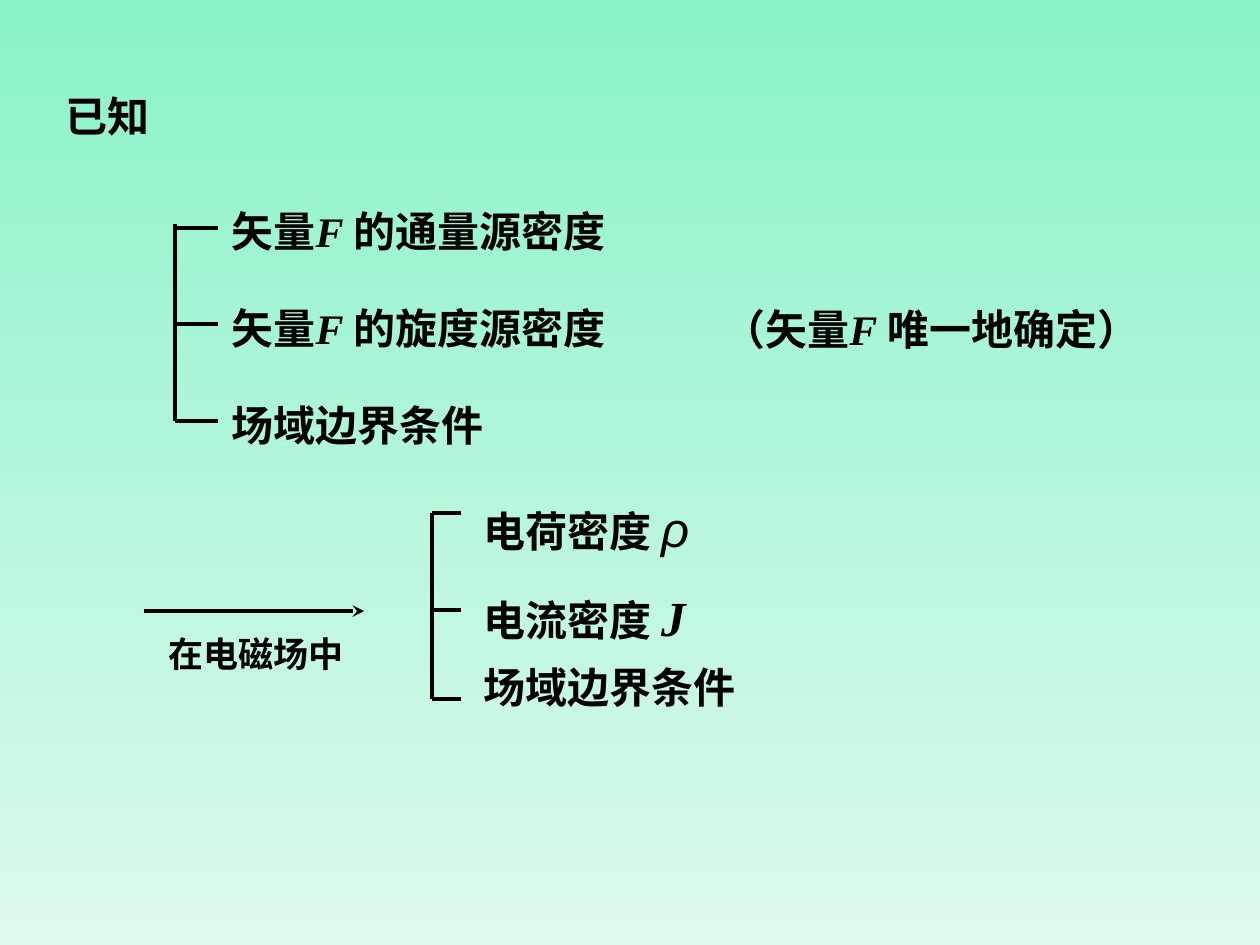
from dataclasses import dataclass

import pptx
import pptx.dml.color
import pptx.enum.dml
import pptx.enum.shapes
import pptx.enum.text
import pptx.oxml
import pptx.oxml.ns
import pptx.util
from pptx.util import Inches

CHINESE = "Noto Sans CJK SC"
ROMAN = "Times New Roman"
BLACK = "000000"


@dataclass
class Span:
    text: str
    size: int = 24
    font: str = CHINESE
    bold: bool = True
    italic: bool = False


@dataclass
class Line:
    spans: list[Span]
    spacing: float = 1.0
    before: float = 0


@dataclass
class TextBlock:
    left: float
    top: float
    width: float
    height: float
    lines: list[Line]
    wrap: bool = True
    align: pptx.enum.text.PP_ALIGN = pptx.enum.text.PP_ALIGN.LEFT


@dataclass
class Bracket:
    left: float
    top: float
    bottom: float
    rungs: list[float]
    rung_length: float


def color(value: str) -> pptx.dml.color.RGBColor:
    return pptx.dml.color.RGBColor.from_string(value)


def add_child(parent, tag: str, **attributes: str) -> None:
    child = pptx.oxml.parse_xml(f"<{tag} {pptx.oxml.ns.nsdecls('a')}/>")
    for name, value in attributes.items():
        child.set(name, value)
    parent.append(child)


def add_span(para, span: Span) -> None:
    run = para.add_run()
    run.text = span.text
    run.font.size = pptx.util.Pt(span.size)
    run.font.bold = span.bold
    run.font.italic = span.italic
    run.font.color.rgb = color(BLACK)
    run.font.name = span.font
    # East Asian characters take their font from a:ea, not a:latin
    add_child(run.font._element, "a:ea", typeface=span.font)


def fill_text(box, block: TextBlock) -> None:
    box.left, box.top = Inches(block.left), Inches(block.top)
    box.width, box.height = Inches(block.width), Inches(block.height)
    frame = box.text_frame
    frame.word_wrap = block.wrap
    frame.auto_size = pptx.enum.text.MSO_AUTO_SIZE.NONE
    frame.vertical_anchor = pptx.enum.text.MSO_ANCHOR.TOP
    for index, line in enumerate(block.lines):
        para = frame.add_paragraph() if index else frame.paragraphs[0]
        para.alignment = block.align
        para.line_spacing = line.spacing
        para.space_before = pptx.util.Pt(line.before)
        for span in line.spans:
            add_span(para, span)


def add_text(page, block: TextBlock) -> None:
    fill_text(page.shapes.add_textbox(0, 0, 0, 0), block)


def add_line(page, x1: float, y1: float, x2: float, y2: float, arrow: bool = False) -> None:
    line = page.shapes.add_connector(
        pptx.enum.shapes.MSO_CONNECTOR.STRAIGHT,
        Inches(x1), Inches(y1), Inches(x2), Inches(y2),
    )
    line.line.color.rgb = color(BLACK)
    line.line.width = pptx.util.Pt(2.25)
    if arrow:
        add_child(line.line._get_or_add_ln(), "a:tailEnd", type="stealth")
    add_child(line._element.spPr, "a:effectLst")


def add_bracket(page, bracket: Bracket) -> None:
    add_line(page, bracket.left, bracket.top, bracket.left, bracket.bottom)
    for y in bracket.rungs:
        add_line(page, bracket.left, y, bracket.left + bracket.rung_length, y)


def vector_spans(before: str, after: str) -> list[Span]:
    return [Span(before), Span("F ", font=ROMAN, italic=True), Span(after)]


def set_background(page) -> None:
    fill = page.background.fill
    fill.gradient()
    fill.gradient_angle = 270
    for stop, value in zip(fill.gradient_stops, ("8AF3C7", "DDFAED")):
        stop.color.rgb = color(value)


HEADING = TextBlock(0.42, 0.67, 1.08, 0.5, [Line([Span("已知")])])

KNOWN_CONDITIONS = TextBlock(1.74, 1.48, 3.61, 2.14, [
    Line(vector_spans("矢量", "的通量源密度"), 1.25),
    Line(vector_spans("矢量", "的旋度源密度"), 1.25, 19.5),
    Line([Span("场域边界条件")], 1.25, 19.5),
])

CONCLUSION = TextBlock(
    5.48, 2.36, 3.66, 0.5, [Line(vector_spans("（矢量", "唯一地确定）"))],
    wrap=False, align=pptx.enum.text.PP_ALIGN.RIGHT,
)

ARROW_LABEL = TextBlock(
    1.24, 4.97, 1.59, 0.44, [Line([Span("在电磁场中", size=20)])], wrap=False,
)

FIELD_CONDITIONS = TextBlock(3.74, 3.91, 3.46, 1.79, [
    Line([Span("电荷密度 "), Span("ρ", 28, "Arial", bold=False, italic=True)]),
    Line([Span("电流密度 "), Span("J", 28, ROMAN, italic=True)], 1.5),
    Line([Span("场域边界条件")], 1.3),
])

BRACKETS = [
    Bracket(1.39, 1.78, 3.34, [1.81, 2.57, 3.34], 0.34),
    Bracket(3.43, 4.07, 5.55, [4.07, 4.84, 5.55], 0.23),
]


def main() -> None:
    deck = pptx.Presentation()
    deck.slide_width, deck.slide_height = Inches(10), Inches(7.5)
    page = deck.slides.add_slide(deck.slide_layouts.get_by_name("Title Only"))
    set_background(page)
    fill_text(page.shapes.title, HEADING)
    add_line(page, 1.14, 4.85, 2.89, 4.85, arrow=True)
    for bracket in BRACKETS:
        add_bracket(page, bracket)
    for block in (ARROW_LABEL, FIELD_CONDITIONS, KNOWN_CONDITIONS, CONCLUSION):
        add_text(page, block)
    deck.save("out.pptx")


if __name__ == "__main__":
    main()
